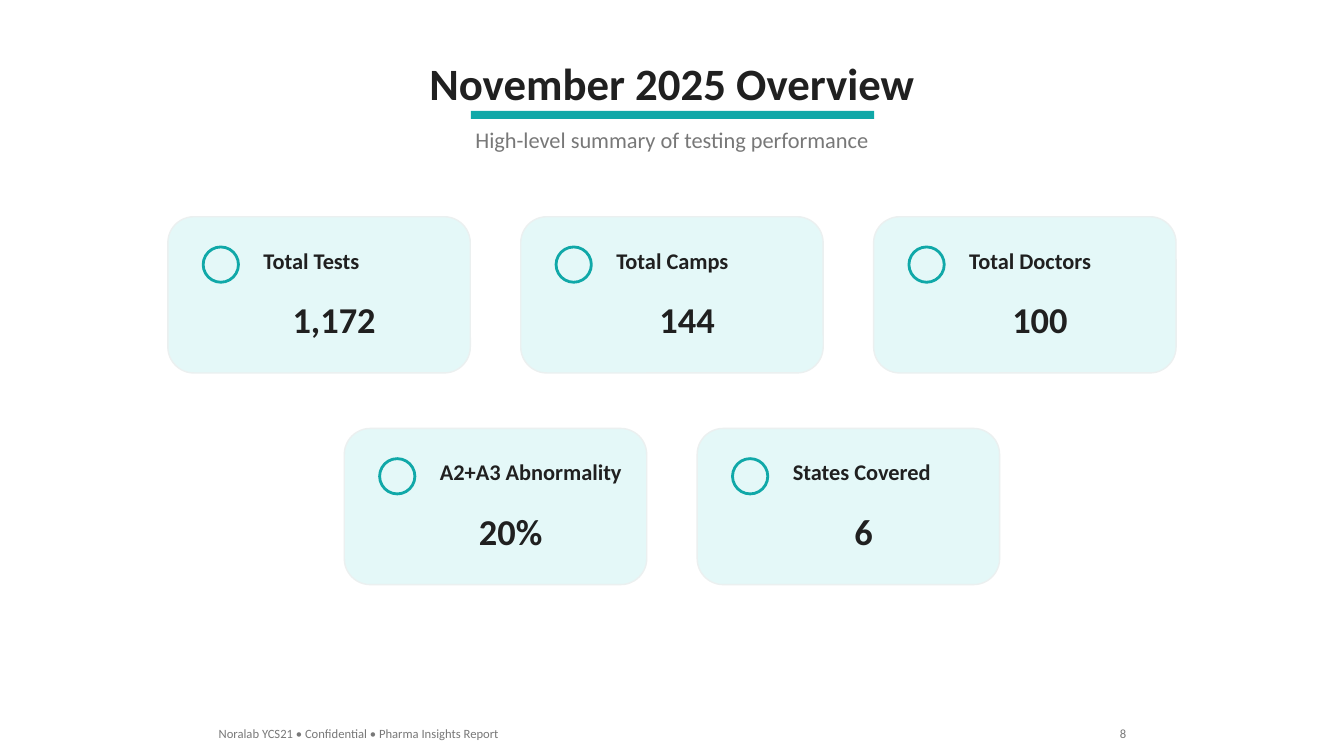
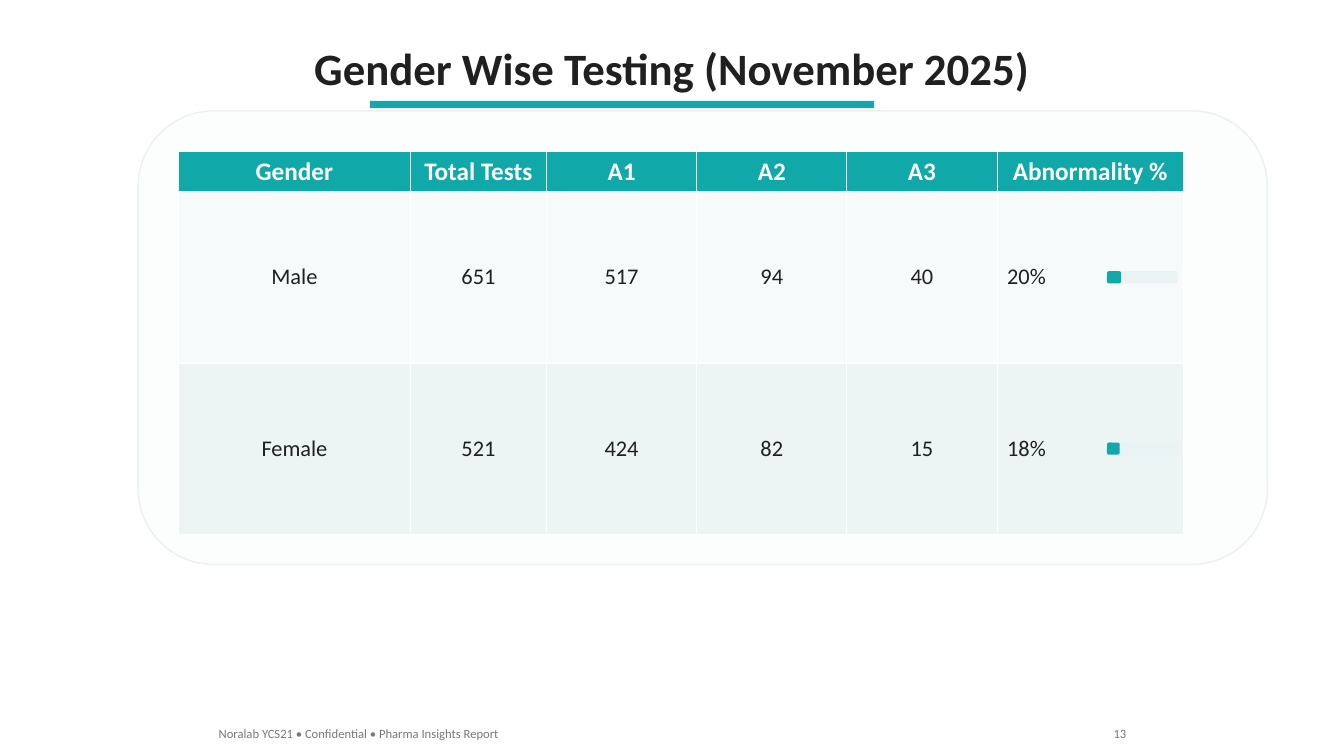
"""Build a two-slide testing report: overview cards and a gender table."""
from pptx import Presentation
from pptx.dml.color import RGBColor
from pptx.enum.shapes import MSO_SHAPE
from pptx.enum.text import MSO_ANCHOR, MSO_AUTO_SIZE, PP_ALIGN
from pptx.util import Inches, Pt

SLIDE_WIDTH, SLIDE_HEIGHT = 13.33, 7.5
TEAL, WHITE, INK, GREY = "10A8A8", "FFFFFF", "202020", "787878"
CARD_FILL, OUTLINE, PANEL_FILL, TRACK_FILL = "E4F8F8", "EBF0F0", "FCFDFD", "EAF3F3"
ROW_FILLS = ["F6FAFA", "ECF4F4"]

STYLES = {
    "title": {"size": 32, "bold": True, "color": INK},
    "subtitle": {"size": 16, "bold": False, "color": GREY},
    "label": {"size": 16, "bold": True, "color": INK},
    "value": {"size": 26, "bold": True, "color": INK},
    "footer": {"size": 9, "bold": False, "color": GREY},
    "header": {"size": 18, "bold": True, "color": WHITE},
    "body": {"size": 16, "bold": False, "color": INK},
}
BOX_SHARES = {PP_ALIGN.LEFT: 0, PP_ALIGN.CENTER: 0.5, PP_ALIGN.RIGHT: 1}

FOOTER = "Noralab YCS21 • Confidential • Pharma Insights Report"
OVERVIEW = {"title": "November 2025 Overview", "width": 5.06, "top": 0.5,
            "rule": (4.67, 1.1, 4, 0.08), "page": "8", "page_width": 0.27}
GENDER = {"title": "Gender Wise Testing (November 2025)", "width": 7.36, "top": 0.35,
          "rule": (3.67, 1, 5, 0.07), "page": "13", "page_width": 0.33}
SUBTITLE = "High-level summary of testing performance"
CARD_ROWS = [
    [("Total Tests", 1.16, "1,172", 1.03), ("Total Camps", 1.33, "144", 0.75),
     ("Total Doctors", 1.43, "100", 0.75)],
    [("A2+A3 Abnormality", 2.03, "20%", 0.84), ("States Covered", 1.59, "6", 0.39)],
]
CARD_WIDTH, CARD_HEIGHT, CARD_GAP = 3, 1.55, 0.5
CARDS_TOP, CARD_PITCH = 2.15, 2.1

TABLE_ROWS = [
    ["Gender", "Total Tests", "A1", "A2", "A3", "Abnormality %"],
    ["Male", "651", "517", "94", "40", "20%"],
    ["Female", "521", "424", "82", "15", "18%"],
]
TABLE_LEFT, TABLE_TOP = 1.77, 1.5
COLUMN_WIDTHS = [2.3, 1.35, 1.49, 1.49, 1.49, 1.85]
ROW_HEIGHTS = [0.4, 1.7, 1.7]
BAR_WIDTH, BAR_HEIGHT, BAR_INSET = 0.7, 0.12, 0.76


def color(value):
    return RGBColor.from_string(value)


def write(paragraph, text, style, align):
    run = paragraph.add_run()
    run.text = text
    paragraph.alignment = align
    values = STYLES[style]
    settings = {"name": "Calibri", "size": Pt(values["size"]), "bold": values["bold"]}
    for name, value in settings.items():
        setattr(run.font, name, value)
    run.font.color.rgb = color(values["color"])


def add_text(slide, text, anchor, top, width, style, align=PP_ALIGN.LEFT):
    left = anchor - width * BOX_SHARES[align]
    height = 0.1 + STYLES[style]["size"] * 1.22 / 72
    shape = slide.shapes.add_textbox(*map(Inches, (left, top, width, height)))
    frame = shape.text_frame
    frame.word_wrap = False
    frame.auto_size = MSO_AUTO_SIZE.SHAPE_TO_FIT_TEXT
    write(frame.paragraphs[0], text, style, align)


def add_block(slide, kind, place, fill=None, line=None, line_width=1):
    shape = slide.shapes.add_shape(kind, *map(Inches, place))
    shape.shadow.inherit = False
    if fill:
        shape.fill.solid()
        shape.fill.fore_color.rgb = color(fill)
    else:
        shape.fill.background()
    if line:
        shape.line.color.rgb = color(line)
        shape.line.width = Pt(line_width)
    else:
        shape.line.fill.background()


def add_page(presentation, content):
    slide = presentation.slides.add_slide(presentation.slide_layouts[6])
    add_block(slide, MSO_SHAPE.RECTANGLE, content["rule"], TEAL)
    add_text(slide, content["title"], SLIDE_WIDTH / 2, content["top"], content["width"],
             "title", PP_ALIGN.CENTER)
    add_text(slide, FOOTER, 2.07, 7.15, 3.05, "footer")
    add_text(slide, content["page"], 11.27, 7.15, content["page_width"],
             "footer", PP_ALIGN.RIGHT)
    return slide


def add_card(slide, left, top, label, label_width, value, value_width):
    add_block(slide, MSO_SHAPE.ROUNDED_RECTANGLE, (left, top, CARD_WIDTH, CARD_HEIGHT),
              CARD_FILL, OUTLINE)
    add_block(slide, MSO_SHAPE.OVAL, (left + 0.35, top + 0.3, 0.35, 0.35),
              line=TEAL, line_width=2)
    add_text(slide, label, left + 0.85, top + 0.25, label_width, "label")
    add_text(slide, value, left + 1.65, top + 0.75, value_width, "value", PP_ALIGN.CENTER)


def build_overview(presentation):
    slide = add_page(presentation, OVERVIEW)
    add_text(slide, SUBTITLE, SLIDE_WIDTH / 2, 1.2, 4.15, "subtitle", PP_ALIGN.CENTER)
    step = CARD_WIDTH + CARD_GAP
    for row, cards in enumerate(CARD_ROWS):
        start = (SLIDE_WIDTH - len(cards) * step + CARD_GAP) / 2
        for column, card in enumerate(cards):
            add_card(slide, start + column * step, CARDS_TOP + row * CARD_PITCH, *card)


def add_gender_table(slide):
    place = (TABLE_LEFT, TABLE_TOP, sum(COLUMN_WIDTHS), sum(ROW_HEIGHTS))
    table = slide.shapes.add_table(len(TABLE_ROWS), len(COLUMN_WIDTHS),
                                   *map(Inches, place)).table
    for column, width in zip(table.columns, COLUMN_WIDTHS):
        column.width = Inches(width)
    for row, height in zip(table.rows, ROW_HEIGHTS):
        row.height = Inches(height)
    last = len(COLUMN_WIDTHS) - 1
    for row, (texts, fill) in enumerate(zip(TABLE_ROWS, [TEAL, *ROW_FILLS])):
        for column, text in enumerate(texts):
            cell = table.cell(row, column)
            cell.fill.solid()
            cell.fill.fore_color.rgb = color(fill)
            cell.vertical_anchor = MSO_ANCHOR.MIDDLE
            align = PP_ALIGN.LEFT if row and column == last else PP_ALIGN.CENTER
            write(cell.text_frame.paragraphs[0], text, "body" if row else "header", align)


def build_gender(presentation):
    slide = add_page(presentation, GENDER)
    add_block(slide, MSO_SHAPE.ROUNDED_RECTANGLE, (1.37, 1.1, 11.2, 4.5),
              PANEL_FILL, OUTLINE)
    add_gender_table(slide)
    left = TABLE_LEFT + sum(COLUMN_WIDTHS) - BAR_INSET
    for row, texts in enumerate(TABLE_ROWS[1:], 1):
        middle = TABLE_TOP + sum(ROW_HEIGHTS[:row]) + ROW_HEIGHTS[row] / 2
        share = int(texts[-1].rstrip("%")) / 100
        for width, fill in [(BAR_WIDTH, TRACK_FILL), (BAR_WIDTH * share, TEAL)]:
            add_block(slide, MSO_SHAPE.ROUNDED_RECTANGLE,
                      (left, middle - BAR_HEIGHT / 2, width, BAR_HEIGHT), fill)


def main():
    presentation = Presentation()
    presentation.slide_width = Inches(SLIDE_WIDTH)
    presentation.slide_height = Inches(SLIDE_HEIGHT)
    build_overview(presentation)
    build_gender(presentation)
    presentation.save("out.pptx")


if __name__ == "__main__":
    main()
